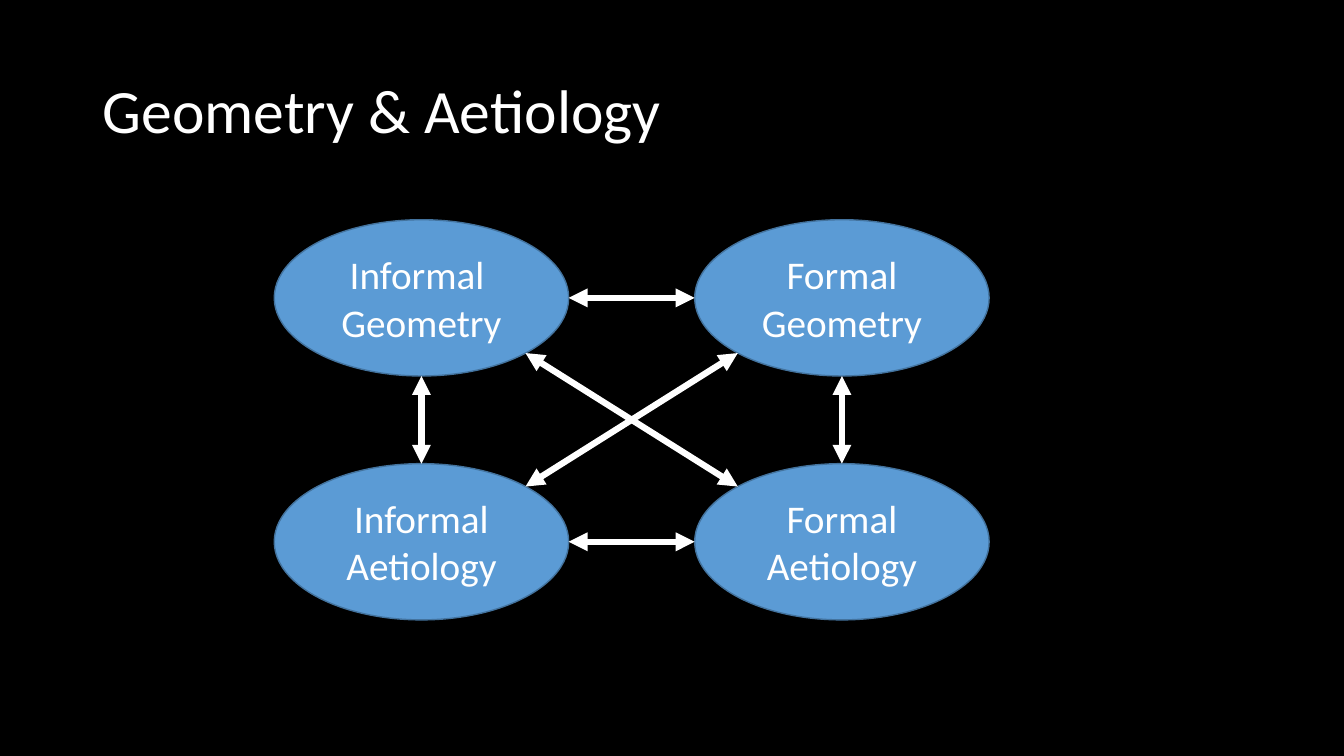
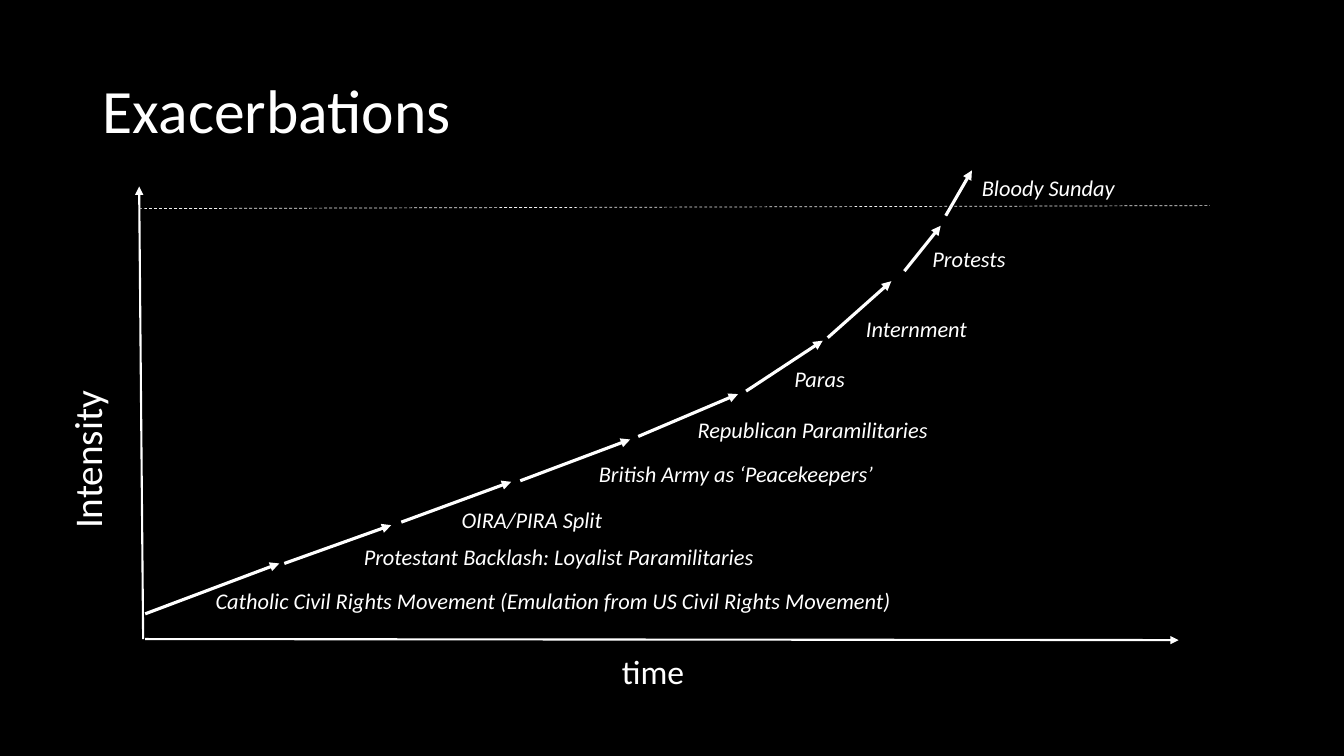
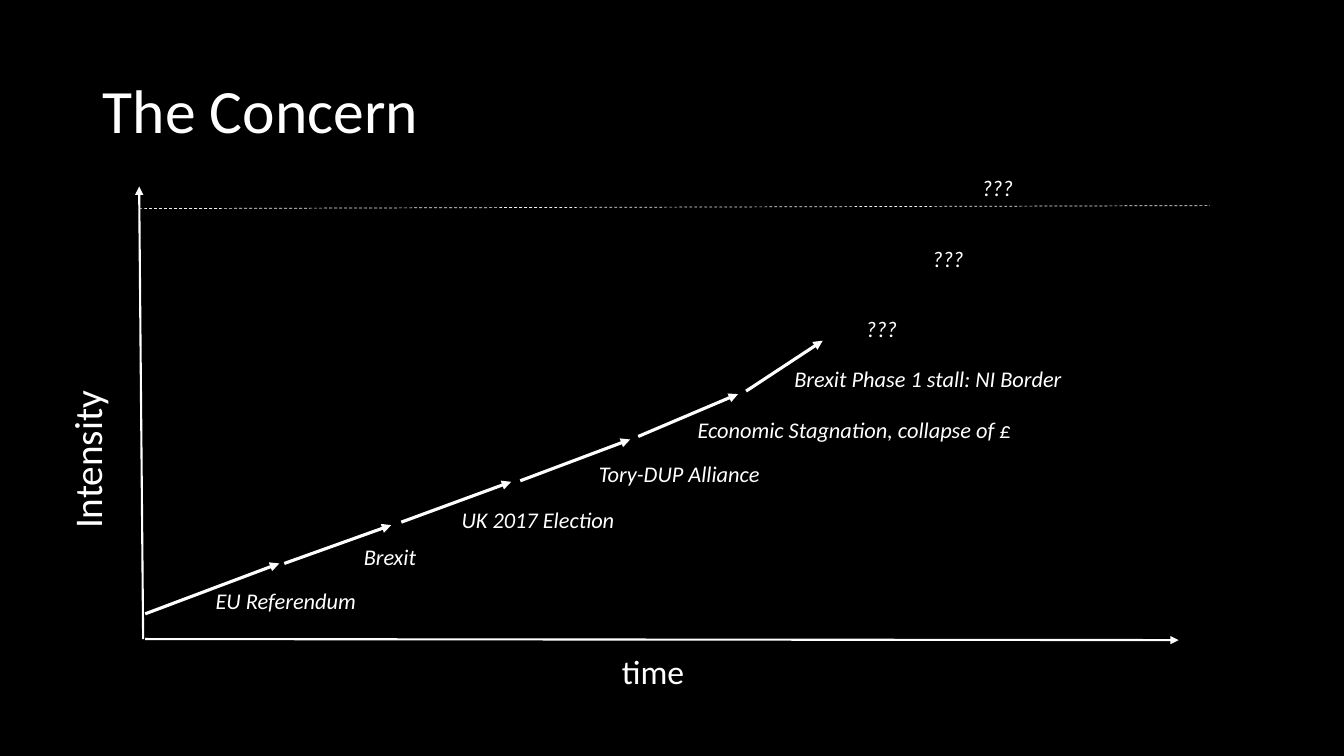
"""Builds three slides on how conflict takes shape and escalates."""
from dataclasses import dataclass
from itertools import combinations
from math import sqrt

from lxml import etree
from pptx import Presentation
from pptx.dml.color import RGBColor
from pptx.enum import dml, shapes, text
from pptx.oxml.ns import qn
from pptx.util import Inches, Pt


@dataclass(frozen=True)
class Theme:
    font: str = "Calibri"
    background: str = "000000"
    ink: str = "FFFFFF"
    threshold: str = "F2F2F2"
    node_fill: str = "5B9BD5"
    node_line: str = "43739E"
    title_size: int = 44
    large_size: int = 28
    axis_size: int = 24
    label_size: int = 16
    link_width: float = 4.5
    step_width: float = 2.25
    axis_width: float = 1.5
    hairline: float = 0.5


THEME = Theme()
TITLE_BOX = (0.92, 0.4, 11.5, 1.45)

NODES = {
    (0, 0): "Informal \nGeometry",
    (1, 0): "Formal\nGeometry",
    (0, 1): "Informal Aetiology",
    (1, 1): "Formal Aetiology",
}
NODE_ORIGIN = (2.72, 2.18)
NODE_SIZE = (2.92, 1.55)
NODE_PITCH = (4.17, 2.42)

AXES = [((1.44, 6.34), (11.69, 6.35)), ((1.42, 6.34), (1.38, 1.85))]
THRESHOLD = ((1.38, 2.07), (12, 2.04))
INTENSITY_BOX = (-0.09, 4.11, 1.9, 0.57)
TIME_BOX = (6.07, 6.41, 0.83, 0.5)
LABEL_HEIGHT = 0.37

STEPS = [
    ((1.44, 6.09), (2.77, 5.59)),
    ((2.82, 5.59), (3.88, 5.21)),
    ((3.98, 5.18), (5.07, 4.78)),
    ((5.16, 4.77), (6.25, 4.36)),
    ((6.33, 4.33), (7.32, 3.91)),
    ((7.4, 3.88), (8.16, 3.38)),
    ((8.21, 3.35), (8.84, 2.79)),
    ((8.97, 2.69), (9.33, 2.24)),
    ((9.38, 2.14), (9.64, 1.69)),
]
LABEL_CORNERS = [
    (2.04, 5.78), (3.51, 5.34), (4.48, 4.97), (5.84, 4.52), (6.82, 4.08),
    (7.78, 3.57), (8.49, 3.08), (9.15, 2.38), (9.64, 1.68),
]

EXACERBATIONS = [
    ("Catholic Civil Rights Movement (Emulation from US Civil Rights Movement)", 6.93),
    ("Protestant Backlash: Loyalist Paramilitaries", 4.11),
    ("OIRA/PIRA Split", 1.61),
    ("British Army as ‘Peacekeepers’", 2.95),
    ("Republican Paramilitaries", 2.51),
    ("Paras", 0.71),
    ("Internment", 1.22),
    ("Protests", 0.94),
    ("Bloody Sunday", 1.54),
]
CONCERN = [
    ("EU Referendum", 1.61),
    ("Brexit", 0.73),
    ("UK 2017 Election", 1.74),
    ("Tory-DUP Alliance", 1.81),
    ("Economic Stagnation, collapse of £", 3.35),
    ("Brexit Phase 1 stall: NI Border", 2.89),
    ("???", 0.51),
    ("???", 0.51),
    ("???", 0.51),
]
CHARTS = [("Exacerbations", EXACERBATIONS, 9), ("The Concern", CONCERN, 6)]


def color(value):
    return RGBColor.from_string(value)


def inches(values):
    return [Inches(value) for value in values]


def write(shape, words, size, alignment=text.PP_ALIGN.LEFT, italic=False):
    shape.text_frame.text = words
    for paragraph in shape.text_frame.paragraphs:
        paragraph.alignment = alignment
        paragraph.font.name = THEME.font
        paragraph.font.size = Pt(size)
        paragraph.font.italic = italic
        paragraph.font.color.rgb = color(THEME.ink)


def add_titled_slide(presentation, words):
    slide = presentation.slides.add_slide(presentation.slide_layouts[5])
    title = slide.shapes.title
    title.left, title.top, title.width, title.height = inches(TITLE_BOX)
    write(title, words, THEME.title_size)
    title.text_frame.vertical_anchor = text.MSO_ANCHOR.MIDDLE
    title.text_frame.paragraphs[0].line_spacing = 0.9
    return slide


def add_label(slide, box, words, size, wrap=False, italic=False):
    label = slide.shapes.add_textbox(*inches(box))
    write(label, words, size, italic=italic)
    label.text_frame.word_wrap = wrap
    label.text_frame.auto_size = text.MSO_AUTO_SIZE.SHAPE_TO_FIT_TEXT
    return label


def add_line(slide, ends, width, line_color=THEME.ink, arrows=("tailEnd",), dash=None):
    start, end = ends
    connector = slide.shapes.add_connector(
        shapes.MSO_CONNECTOR.STRAIGHT, *inches(start + end))
    connector.line.color.rgb = color(line_color)
    connector.line.width = Pt(width)
    if dash:
        connector.line.dash_style = dash
    properties = connector._element.spPr
    for arrow in arrows:
        etree.SubElement(properties.find(qn("a:ln")), qn(f"a:{arrow}"), type="triangle")
    etree.SubElement(properties, qn("a:effectLst"))


def node_corner(cell):
    return tuple(origin + step * pitch
                 for origin, step, pitch in zip(NODE_ORIGIN, cell, NODE_PITCH))


def rim_point(cell, toward):
    direction = [there - here for here, there in zip(cell, toward)]
    reach = sqrt(sum(part * part for part in direction))
    return tuple(corner + size / 2 * (1 + part / reach)
                 for corner, size, part in zip(node_corner(cell), NODE_SIZE, direction))


def build_network(presentation):
    slide = add_titled_slide(presentation, "Geometry & Aetiology")
    for cell, words in NODES.items():
        node = slide.shapes.add_shape(
            shapes.MSO_SHAPE.OVAL, *inches(node_corner(cell) + NODE_SIZE))
        node.shadow.inherit = False
        node.fill.solid()
        node.fill.fore_color.rgb = color(THEME.node_fill)
        node.line.color.rgb = color(THEME.node_line)
        node.line.width = Pt(1)
        write(node, words, THEME.large_size, text.PP_ALIGN.CENTER)
        node.text_frame.vertical_anchor = text.MSO_ANCHOR.MIDDLE
    for first, second in combinations(NODES, 2):
        ends = rim_point(first, second), rim_point(second, first)
        add_line(slide, ends, THEME.link_width, arrows=("headEnd", "tailEnd"))


def build_escalation(presentation, title, labels, step_count):
    slide = add_titled_slide(presentation, title)
    for axis in AXES:
        add_line(slide, axis, THEME.axis_width)
    intensity = add_label(slide, INTENSITY_BOX, "Intensity", THEME.large_size, wrap=True)
    intensity.rotation = 270
    for step in STEPS[:step_count]:
        add_line(slide, step, THEME.step_width)
    for corner, (words, width) in zip(LABEL_CORNERS, labels):
        add_label(slide, corner + (width, LABEL_HEIGHT), words, THEME.label_size, italic=True)
    add_line(slide, THRESHOLD, THEME.hairline, THEME.threshold,
             arrows=(), dash=dml.MSO_LINE.DASH)
    add_label(slide, TIME_BOX, "time", THEME.axis_size)


def main():
    presentation = Presentation()
    presentation.slide_width, presentation.slide_height = inches((13.33, 7.5))
    background = presentation.slide_master.background.fill
    background.solid()
    background.fore_color.rgb = color(THEME.background)
    build_network(presentation)
    for title, labels, step_count in CHARTS:
        build_escalation(presentation, title, labels, step_count)
    presentation.save("out.pptx")


main()
